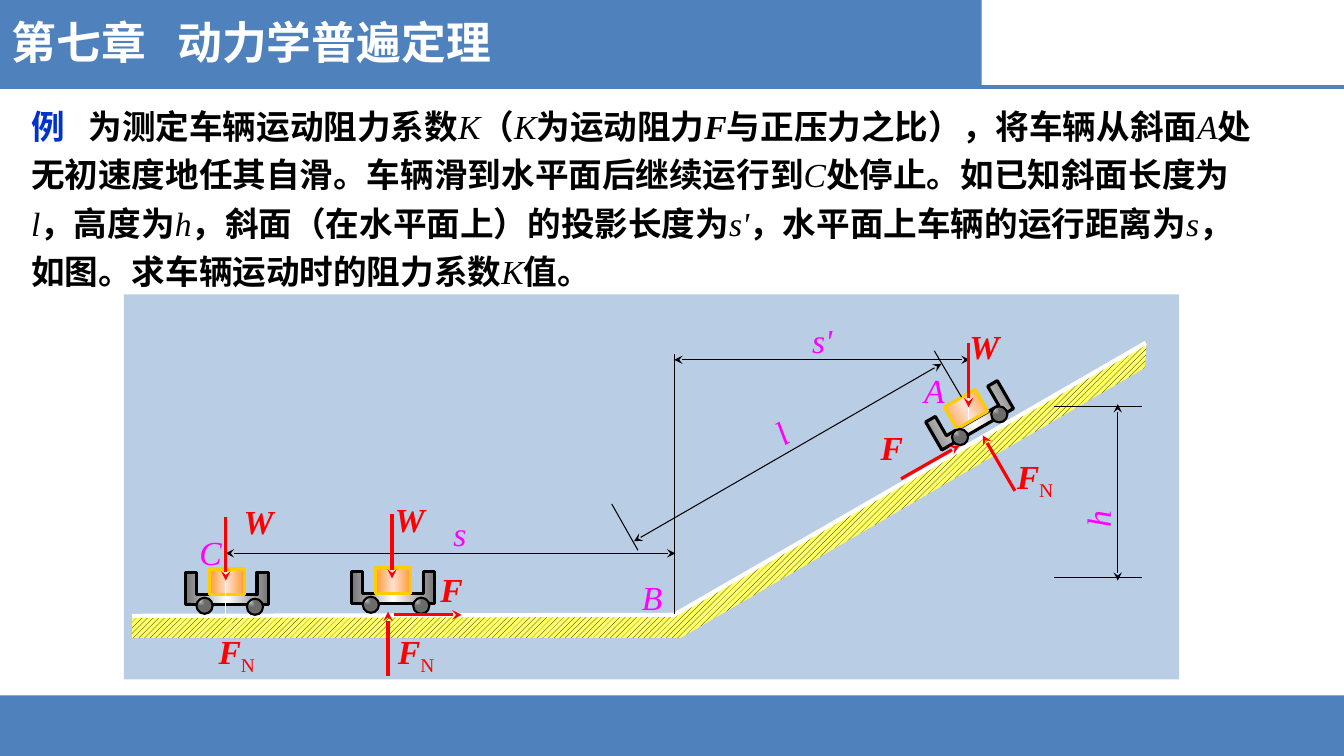
from math import cos, radians, sin

from lxml.etree import SubElement
from pptx import Presentation
from pptx.dml.color import RGBColor
from pptx.enum.dml import MSO_PATTERN
from pptx.enum.shapes import MSO_CONNECTOR, MSO_SHAPE
from pptx.oxml import parse_xml
from pptx.oxml.ns import nsdecls, qn
from pptx.util import Cm, Pt

TITLE = ("第七章", "动力学普遍定理")
PROBLEM = [
    ("例\t", "lead"), ("为测定车辆运动阻力系数", "bold"), ("K", "italic"), ("（", "bold"),
    ("K", "italic"), ("为运动阻力", "bold"), ("F", "vector"),
    ("与正压力之比），将车辆从斜面", "bold"), ("A", "italic"),
    ("处无初速度地任其自滑。车辆滑到水平面后继续运行到", "bold"), ("C", "italic"),
    ("处停止。如已知斜面长度为", "bold"), ("l", "italic"), ("，高度为", "bold"),
    ("h", "italic"), ("，斜面（在水平面上）的投影长度为", "bold"), ("s'", "italic"),
    ("，水平面上车辆的运行距离为", "bold"), ("s", "italic"),
    ("，如图。求车辆运动时的阻力系数", "bold"), ("K", "italic"), ("值。", "bold"),
]
COLORS = {
    "blue": "4F81BD", "panel": "B9CDE5", "white": "FFFFFF", "black": "000000",
    "lead": "0033CC", "magenta": "FF00FF", "red": "FF0000", "ground": "FFFF66",
    "steel": "767676", "wheel": "6B6B6B", "orange": "FF9933", "peach": "FFE0D2",
    "gold": "FFCC00",
}
STYLES = {
    "title": ("white", True, False), "lead": ("lead", True, False),
    "bold": ("black", True, False), "italic": ("black", False, True),
    "vector": ("black", True, True), "mark": ("magenta", False, True),
    "force": ("red", True, True), "index": ("red", False, False),
}
SERIF, SANS = "Times New Roman", "Noto Sans CJK SC"

GROUND = [(1.31, 6.11), (6.69, 6.11), (11.38, 3.39), (11.36, 3.65), (6.75, 6.33), (1.31, 6.33)]
SURFACE = [(1.31, 6.11), (6.69, 6.1), (11.37, 3.4)]
CART_SIZE = (0.82, 0.32)
CART_OUTLINE = [(0, 0), (0.11, 0), (0.11, 0.22), (0.71, 0.22), (0.71, 0), (0.82, 0),
                (0.82, 0.32), (0, 0.32)]
FLAT_WHEELS = [(-0.22, 0.17), (0.28, 0.18)]
SLOPE_WHEELS = [(-0.19, 0.14), (0.26, 0.14)]
CARTS = [
    (2.25, 5.84, 0, FLAT_WHEELS), (3.9, 5.83, 0, FLAT_WHEELS), (9.62, 4.12, -30, SLOPE_WHEELS),
]
LINES = {
    ("white", 0.75, False, False): [(2.24, 6.11, 2.24, 5.18), (9.61, 4.17, 9.61, 3.4)],
    ("black", 0.75, True, True): [
        (2.24, 5.49, 6.7, 5.49), (6.29, 5.37, 9.34, 3.61),
        (6.69, 3.57, 9.62, 3.57), (11.09, 5.76, 11.09, 4.01),
    ],
    ("black", 0.75, False, False): [
        (6.69, 6.09, 6.69, 3.51), (6.07, 5, 6.33, 5.46), (9.27, 3.48, 9.54, 3.94),
        (10.46, 5.73, 11.33, 5.73), (10.46, 4.03, 11.33, 4.03),
    ],
    ("red", 2.25, False, True): [
        (9.61, 3.4, 9.61, 4.04), (10.07, 4.87, 9.75, 4.32), (8.94, 4.75, 9.52, 4.42),
        (3.89, 5.1, 3.89, 5.74), (3.85, 6.71, 3.85, 6.07), (3.91, 6.1, 4.58, 6.1),
        (2.24, 5.13, 2.24, 5.76),
    ],
}
LABELS = [
    ("s", "mark", 4.4, 5.04, 0.77, 0), ("C", "mark", 1.88, 5.23, 0.5, 0),
    ("B", "mark", 6.27, 5.67, 0.5, 0), ("A", "mark", 9.07, 3.62, 0.5, 0),
    ("s'", "mark", 7.96, 3.12, 0.77, 0), ("h", "mark", 10.52, 4.68, 0.77, 270),
    ("l", "mark", 7.58, 3.92, 0.77, 329.2), ("W", "force", 9.52, 3.18, 0.77, 0),
    ("FN", "force", 9.99, 4.47, 0.77, 0), ("F", "force", 8.64, 4.19, 0.64, 0),
    ("W", "force", 3.82, 4.9, 0.57, 0), ("FN", "force", 3.85, 6.21, 0.77, 0),
    ("F", "force", 4.27, 5.59, 0.64, 0), ("W", "force", 2.32, 4.92, 0.57, 0),
    ("FN", "force", 2.07, 6.21, 0.77, 0),
]


def length(inches):
    """Turn a drawing unit of one inch into a slide length."""
    return Cm(inches * 2.54)


def color(name):
    """Look up a named colour."""
    return RGBColor.from_string(COLORS[name])


def set_line(shape, name=None, width=0.75):
    """Outline a shape, or clear its outline."""
    shape.shadow.inherit = False
    if name:
        shape.line.color.rgb = color(name)
        shape.line.width = Pt(width)
    else:
        shape.line.fill.background()


def add_preset(slide, kind, left, top, width, height):
    """Add a preset shape."""
    return slide.shapes.add_shape(kind, *map(length, (left, top, width, height)))


def add_block(slide, box, name):
    """Add a plain filled rectangle."""
    shape = add_preset(slide, MSO_SHAPE.RECTANGLE, *box)
    shape.fill.solid()
    shape.fill.fore_color.rgb = color(name)
    set_line(shape)


def add_outline(slide, points, close=True):
    """Add a freeform through the points."""
    points = [(length(x), length(y)) for x, y in points]
    builder = slide.shapes.build_freeform(*points[0])
    builder.add_line_segments(points[1:], close=close)
    return builder.convert_to_shape()


def set_gradient(shape, names, corner=False):
    """Fill a shape with evenly spaced gradient stops."""
    step = 100000 // (len(names) - 1)
    stops = "".join(
        f'<a:gs pos="{i * step}"><a:srgbClr val="{COLORS[name]}"/></a:gs>'
        for i, name in enumerate(names))
    course = ('<a:path path="rect"><a:fillToRect r="100000" b="100000"/></a:path>'
              if corner else '<a:lin ang="0" scaled="1"/>')
    gradient = parse_xml(f'<a:gradFill {nsdecls("a")} rotWithShape="1">'
                         f'<a:gsLst>{stops}</a:gsLst>{course}</a:gradFill>')
    shape.fill.background()
    properties = shape.element.spPr
    properties.replace(properties.find(qn("a:noFill")), gradient)


def add_cart(slide, center_x, center_y, angle, wheels):
    """Draw a cart about its centre, turned by the angle."""
    turn = radians(angle)

    def place(x, y):
        return (center_x + x * cos(turn) - y * sin(turn),
                center_y + x * sin(turn) + y * cos(turn))

    width, height = CART_SIZE
    body = add_outline(slide, [(center_x - width / 2 + x, center_y - height / 2 + y)
                               for x, y in CART_OUTLINE])
    body.rotation = angle
    set_gradient(body, ["steel", "white", "steel"])
    set_line(body, "black", 2.25)
    x, y = place(0, -0.07)
    load = add_preset(slide, MSO_SHAPE.RECTANGLE, x - 0.175, y - 0.125, 0.35, 0.25)
    load.rotation = angle
    set_gradient(load, ["orange", "peach", "orange"])
    set_line(load, "gold", 2.25)
    for offset in wheels:
        x, y = place(*offset)
        wheel = add_preset(slide, MSO_SHAPE.OVAL, x - 0.08, y - 0.08, 0.16, 0.16)
        set_gradient(wheel, ["white", "wheel"], corner=True)
        set_line(wheel, "black", 1.5)


def add_line(slide, ends, name, width, head=False, tail=False):
    """Add a straight line with optional arrowheads."""
    connector = slide.shapes.add_connector(MSO_CONNECTOR.STRAIGHT, *map(length, ends))
    connector.line.color.rgb = color(name)
    connector.line.width = Pt(width)
    outline = connector.line._get_or_add_ln()
    for tag, wanted in (("a:headEnd", head), ("a:tailEnd", tail)):
        if wanted:
            SubElement(outline, qn(tag), type="stealth")
    SubElement(connector.element.spPr, qn("a:effectLst"))


def add_text(slide, box, runs, size=24, font=SERIF, tab=None, spacing=None):
    """Add a text box of styled runs and return it."""
    shape = slide.shapes.add_textbox(*map(length, box))
    shape.text_frame.word_wrap = True
    paragraph = shape.text_frame.paragraphs[0]
    if spacing:
        paragraph.line_spacing = spacing
    if tab:
        tabs = SubElement(paragraph._p.get_or_add_pPr(), qn("a:tabLst"))
        SubElement(tabs, qn("a:tab"), pos=str(length(tab)), algn="l")
    for text, style in runs:
        run = paragraph.add_run()
        run.text = text
        name, bold, italic = STYLES[style]
        run.font.size, run.font.name = Pt(size), font
        run.font.bold, run.font.italic = bold, italic
        run.font.color.rgb = color(name)
        properties = run._r.get_or_add_rPr()
        SubElement(properties, qn("a:ea"), typeface=SANS)
        if style == "index":
            properties.set("baseline", "-25000")
    return shape


def main():
    """Build the slide."""
    presentation = Presentation()
    presentation.slide_width, presentation.slide_height = Cm(33.87), Cm(19.05)
    slide = presentation.slides.add_slide(presentation.slide_layouts[6])
    add_block(slide, (0, 6.9, 13.34, 0.6), "blue")
    add_block(slide, (0, 0, 9.74, 0.86), "blue")
    add_line(slide, (0, 0.86, 13.33, 0.86), "blue", 3)
    add_text(slide, (0.02, 0.1, 5.4, 0.64), [("\t".join(TITLE), "title")], 32, SANS, tab=1.64)
    add_block(slide, (1.23, 2.92, 10.47, 3.82), "panel")
    add_text(slide, (0.21, 0.92, 12.44, 1.99), PROBLEM, tab=0.57, spacing=1.2)
    ground = add_outline(slide, GROUND)
    ground.fill.patterned()
    ground.fill.pattern = MSO_PATTERN.WIDE_UPWARD_DIAGONAL
    ground.fill.fore_color.rgb = color("black")
    ground.fill.back_color.rgb = color("ground")
    set_line(ground)
    surface = add_outline(slide, SURFACE, close=False)
    surface.fill.background()
    set_line(surface, "white", 3)
    for cart in CARTS:
        add_cart(slide, *cart)
    for look, lines in LINES.items():
        for ends in lines:
            add_line(slide, ends, *look)
    for text, style, left, top, width, angle in LABELS:
        runs = [("F", style), ("N", "index")] if text == "FN" else [(text, style)]
        add_text(slide, (left, top, width, 0.53), runs).rotation = angle
    presentation.save("out.pptx")


if __name__ == "__main__":
    main()
